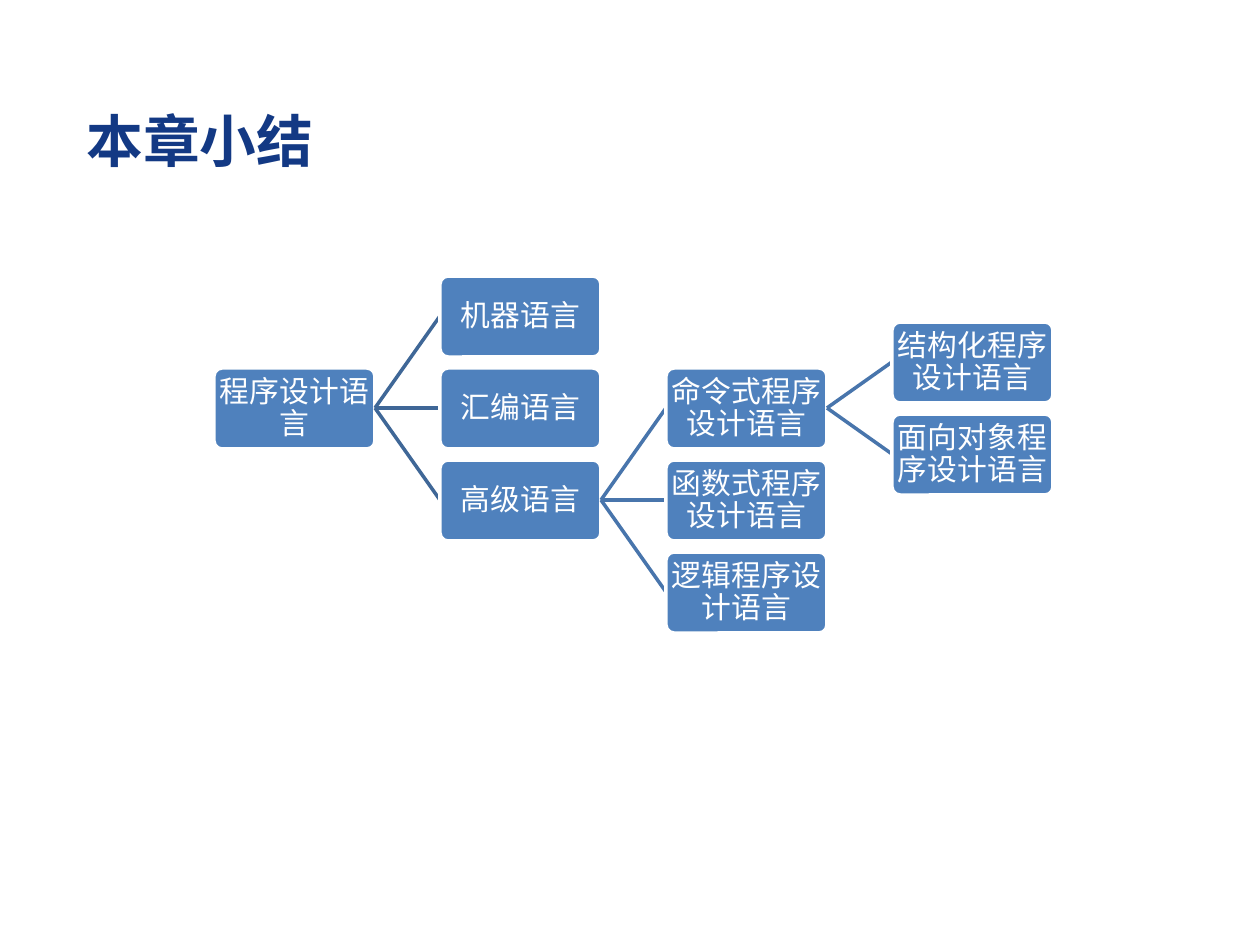
from dataclasses import dataclass

from lxml.etree import SubElement
from pptx import Presentation
from pptx.dml.color import RGBColor as Color
from pptx.enum.shapes import MSO_CONNECTOR as Connector, MSO_SHAPE as Shape
from pptx.enum.text import MSO_ANCHOR as Anchor, PP_ALIGN as Align
from pptx.oxml.ns import qn
from pptx.util import Emu, Pt

PX_PER_INCH = 126


@dataclass(frozen=True)
class Theme:
    font: str = "Calibri"
    title: Color = Color(0x13, 0x39, 0x84)
    node: Color = Color(0x4F, 0x81, 0xBD)
    white: Color = Color(0xFF, 0xFF, 0xFF)
    branches: tuple = (
        Color(0x3F, 0x67, 0x97),
        Color(0x48, 0x75, 0xAC),
        Color(0x48, 0x75, 0xAC),
    )
    title_size: Pt = Pt(32.4)
    node_size: Pt = Pt(17)
    line_width: Pt = Pt(2)


@dataclass(frozen=True)
class Box:
    left: int
    top: int
    width: int
    height: int

    @property
    def middle(self):
        return self.top + self.height // 2

    @property
    def right(self):
        return self.left + self.width

    def emu(self):
        return [px(side) for side in (self.left, self.top, self.width, self.height)]


@dataclass(frozen=True)
class Node:
    label: str
    half_row: int
    children: tuple = ()


THEME = Theme()
NODE_WIDTH, NODE_HEIGHT = 161, 81
COLUMN_STEP, HALF_ROW_STEP = 226, 46

LANGUAGES = Node("程序设计语言", 2, (
    Node("机器语言", 0),
    Node("汇编语言", 2),
    Node("高级语言", 4, (
        Node("命令式程序设计语言", 2, (
            Node("结构化程序设计语言", 1),
            Node("面向对象程序设计语言", 3),
        )),
        Node("函数式程序设计语言", 4),
        Node("逻辑程序设计语言", 6),
    )),
))


def px(count):
    return Emu(round(count * 914400 / PX_PER_INCH))


def add_span(para, text, size, color, bold=False):
    span = para.add_run()
    span.text = text
    span.font.name = THEME.font
    span.font.size = size
    span.font.bold = bold
    span.font.color.rgb = color


def add_title(page, box, text):
    frame = page.shapes.add_textbox(*box.emu()).text_frame
    frame.word_wrap = True
    frame.vertical_anchor = Anchor.MIDDLE
    add_span(frame.paragraphs[0], text, THEME.title_size, THEME.title, bold=True)


def add_node(page, box, label):
    shape = page.shapes.add_shape(Shape.ROUNDED_RECTANGLE, *box.emu())
    shape.adjustments[0] = 0.1
    shape.shadow.inherit = False
    shape.fill.solid()
    shape.fill.fore_color.rgb = THEME.node
    shape.line.color.rgb = THEME.white
    shape.line.width = THEME.line_width
    frame = shape.text_frame
    frame.word_wrap = True
    frame.vertical_anchor = Anchor.MIDDLE
    frame.margin_left = frame.margin_right = px(1)
    frame.margin_top = frame.margin_bottom = px(1)
    para = frame.paragraphs[0]
    para.alignment = Align.CENTER
    para.line_spacing = 0.9
    add_span(para, label, THEME.node_size, THEME.white)


def add_branch(page, parent, child, color):
    line = page.shapes.add_connector(
        Connector.STRAIGHT,
        px(parent.right), px(parent.middle), px(child.left), px(child.middle),
    )
    line.line.color.rgb = color
    line.line.width = THEME.line_width
    SubElement(line._element.spPr, qn("a:effectLst"))


def add_tree(page, area, node, level=0, parent=None):
    box = Box(
        area.left + level * COLUMN_STEP,
        area.top + node.half_row * HALF_ROW_STEP,
        NODE_WIDTH,
        NODE_HEIGHT,
    )
    if parent:
        add_branch(page, parent, box, THEME.branches[level - 1])
    add_node(page, box, node.label)
    for child in node.children:
        add_tree(page, area, child, level + 1, box)


def main():
    deck = Presentation()
    deck.slide_width, deck.slide_height = px(1260), px(945)
    page = deck.slides.add_slide(deck.slide_layouts[6])
    add_title(page, Box(74, 96, 1134, 87), "本章小结")
    add_tree(page, Box(214, 276, 839, 357), LANGUAGES)
    deck.save("out.pptx")


if __name__ == "__main__":
    main()
